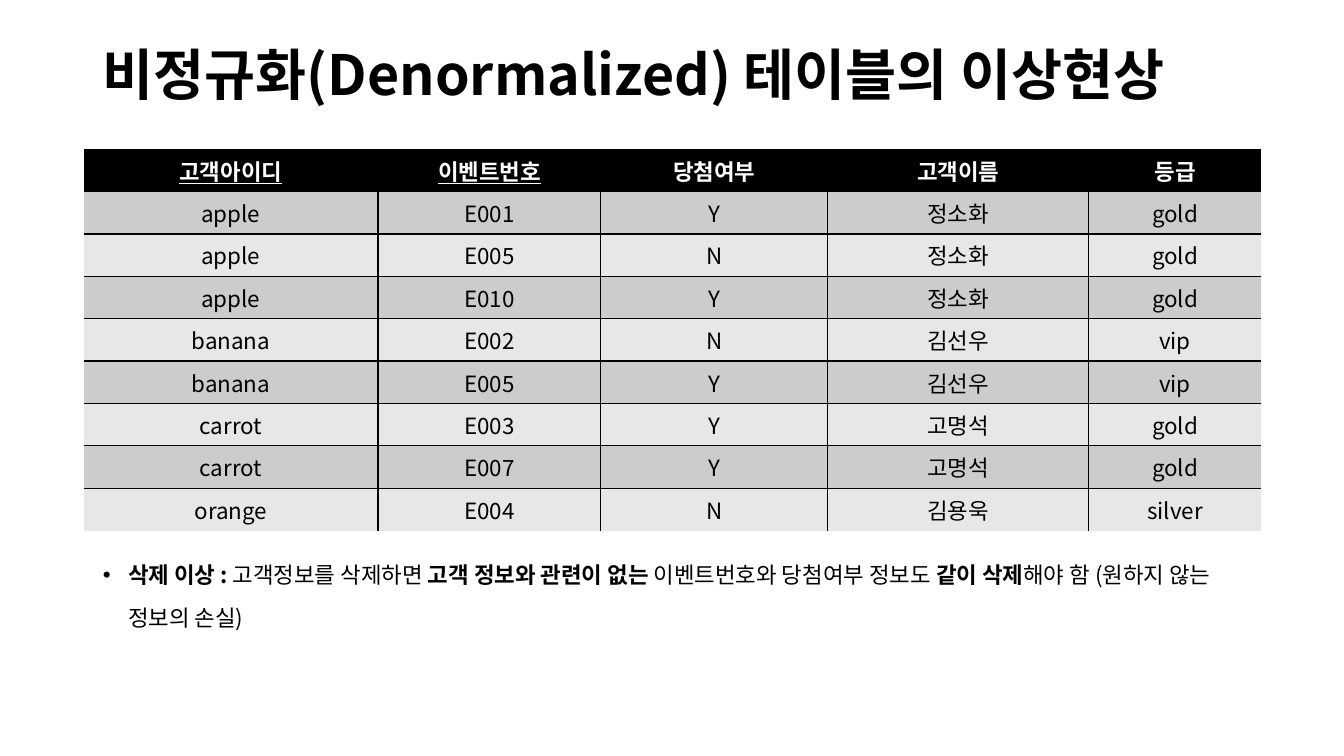
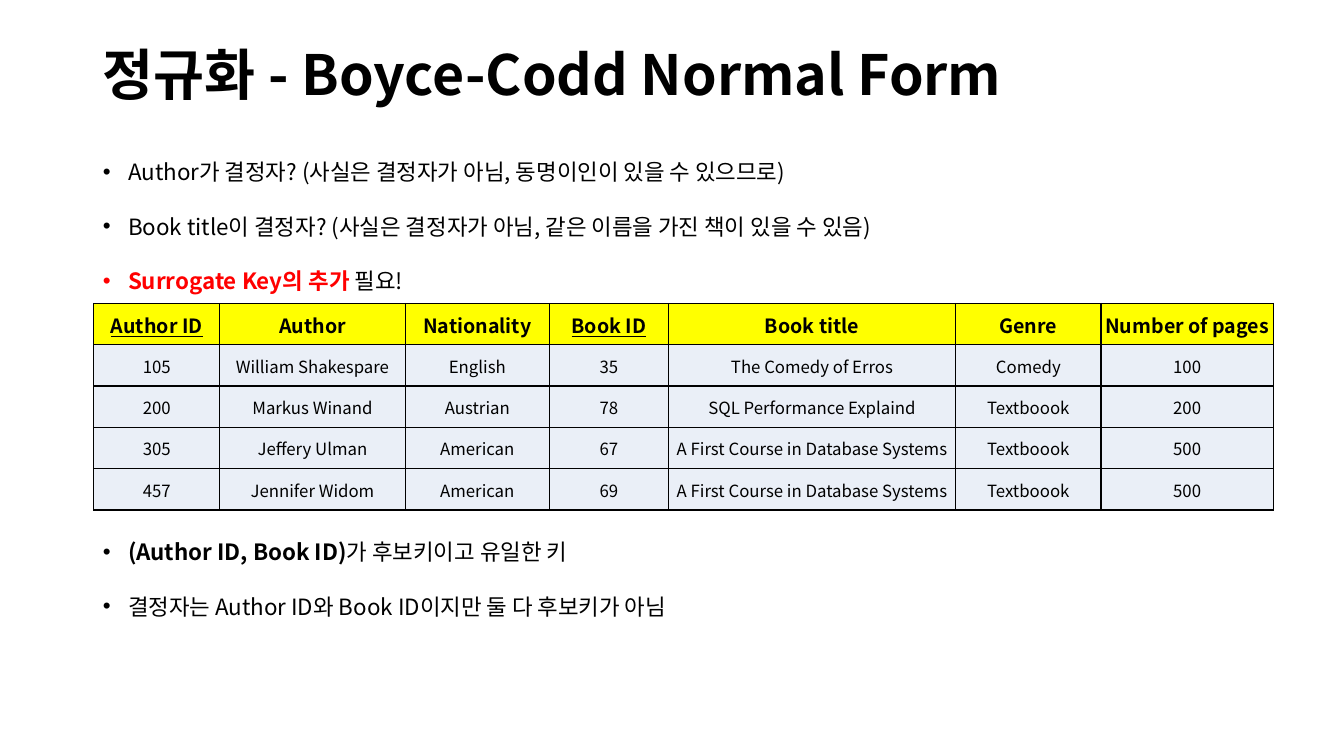
from pptx import Presentation
from pptx.dml.color import RGBColor as RGB
from pptx.enum.text import MSO_ANCHOR as Anchor, MSO_AUTO_SIZE as Fit, PP_ALIGN as Align
from pptx.oxml.ns import qn
from pptx.util import Inches, Pt
from lxml.etree import SubElement, fromstring

FACE = "Noto Sans CJK KR"
BLACK = RGB(0, 0, 0)
WHITE = RGB(255, 255, 255)
RED = RGB(255, 0, 0)
GOLD = RGB(255, 255, 0)
ICE = RGB(0xEA, 0xEF, 0xF7)
DARK = RGB(0xCC, 0xCC, 0xCC)
PALE = RGB(0xE7, 0xE7, 0xE7)

NS = "http://schemas.openxmlformats.org/drawingml/2006/main"
BARE = "{2D5ABB26-0587-4C30-8999-92F81FD0307C}"
LEFT, WIDE = 0.92, 11.5
TITLE = (LEFT, 0.4, WIDE, 0.73)

PRIZES = [
    ("고객아이디", "이벤트번호", "당첨여부", "고객이름", "등급"),
    ("apple", "E001", "Y", "정소화", "gold"),
    ("apple", "E005", "N", "정소화", "gold"),
    ("apple", "E010", "Y", "정소화", "gold"),
    ("banana", "E002", "N", "김선우", "vip"),
    ("banana", "E005", "Y", "김선우", "vip"),
    ("carrot", "E003", "Y", "고명석", "gold"),
    ("carrot", "E007", "Y", "고명석", "gold"),
    ("orange", "E004", "N", "김용욱", "silver"),
]
BOOKS = [
    ("Author ID", "Author", "Nationality", "Book ID", "Book title", "Genre", "Number of pages"),
    ("105", "William Shakespare", "English", "35", "The Comedy of Erros", "Comedy", "100"),
    ("200", "Markus Winand", "Austrian", "78", "SQL Performance Explaind", "Textboook", "200"),
    ("305", "Jeffery Ulman", "American", "67", "A First Course in Database Systems", "Textboook", "500"),
    ("457", "Jennifer Widom", "American", "69", "A First Course in Database Systems", "Textboook", "500"),
]

PLAIN = {"bold": False}
BOLD = {"bold": True}
ALERT = {"bold": True, "color": RED}

SLIDES = [
    {
        "title": "비정규화(Denormalized) 테이블의 이상현상",
        "body": {
            "top": 5.36, "high": 1.39, "lead": 1.6,
            "items": [
                (10, [
                    ("삭제 이상 : ", BOLD),
                    ("고객정보를 삭제하면 ", PLAIN),
                    ("고객 정보와 관련이 없는", BOLD),
                    (" 이벤트번호와 당첨여부 정보도 ", PLAIN),
                    ("같이 삭제", BOLD),
                    ("해야 함 (원하지 않는 정보의 손실)", PLAIN),
                ]),
            ],
        },
        "table": {
            "rows": PRIZES, "keys": (0, 1), "at": (0.83, 1.48), "high": 0.42,
            "cols": (2.92, 2.21, 2.25, 2.59, 1.71),
            "fills": (BLACK, DARK, PALE), "ink": WHITE, "sizes": (16, 16),
            "frame": False, "cell": {"vertical_anchor": Anchor.TOP},
        },
    },
    {
        "title": "정규화 - Boyce-Codd Normal Form",
        "body": {
            "top": 1.39, "high": 5.37, "lead": 1.5,
            "items": [
                (10, [("Author가 결정자? (사실은 결정자가 아님, 동명이인이 있을 수 있으므로)", PLAIN)]),
                (10, [("Book title이 결정자? (사실은 결정자가 아님, 같은 이름을 가진 책이 있을 수 있음)", PLAIN)]),
                (10, [("Surrogate Key의 추가", ALERT), (" 필요!", PLAIN)]),
                (165, [("(Author ID, Book ID)", BOLD), ("가 후보키이고 유일한 키", PLAIN)]),
                (10, [("결정자는 Author ID와 Book ID이지만 둘 다 후보키가 아님", PLAIN)]),
            ],
        },
        "table": {
            "rows": BOOKS, "keys": (0, 3), "at": (0.93, 3.01), "high": 0.41,
            "cols": (1.25, 1.84, 1.43, 1.18, 2.85, 1.44, 1.71),
            "fills": (GOLD, ICE, ICE), "ink": BLACK, "sizes": (14, 12),
            "frame": True,
            "cell": {
                "vertical_anchor": Anchor.MIDDLE, "margin_left": Inches(0.01),
                "margin_right": Inches(0.01), "margin_top": Inches(0.01), "margin_bottom": 0,
            },
        },
    },
]


def apply(part, vals):
    for name, val in vals.items():
        setattr(part, name, val)


def place(shape, *box):
    apply(shape, dict(zip(("left", "top", "width", "height"), map(Inches, box))))


def write(para, text, size, color=BLACK, **look):
    run = para.add_run()
    run.text = text
    apply(run.font, {"name": FACE, "size": Pt(size), **look})
    run.font.color.rgb = color
    SubElement(run.font._element, qn("a:ea"), typeface=FACE)


def set_title(shape, text):
    para = shape.text_frame.paragraphs[0]
    apply(para, {"alignment": Align.LEFT, "line_spacing": 0.9})
    write(para, text, 39.6, bold=True)


def set_body(shape, data):
    place(shape, LEFT, data["top"], WIDE, data["high"])
    frame = shape.text_frame
    frame.auto_size = Fit.NONE
    for num, (gap, runs) in enumerate(data["items"]):
        para = frame.add_paragraph() if num else frame.paragraphs[0]
        apply(para, {"line_spacing": data["lead"], "space_before": Pt(gap)})
        props = para._p.get_or_add_pPr()
        props.set("marL", str(Inches(0.25)))
        props.set("indent", str(-Inches(0.25)))
        for text, look in runs:
            write(para, text, 16, **look)


def rule(cell, sides):
    props = cell._tc.get_or_add_tcPr()
    for pos, side in enumerate(sides):
        props.insert(pos, fromstring(
            f'<a:ln{side} xmlns:a="{NS}" w="12700"><a:solidFill>'
            f'<a:srgbClr val="{BLACK}"/></a:solidFill></a:ln{side}>'))


def add_grid(slide, data):
    rows, cols, high = data["rows"], data["cols"], data["high"]
    last, end = len(rows) - 1, len(cols) - 1
    box = (*data["at"], sum(cols), high * len(rows))
    table = slide.shapes.add_table(len(rows), len(cols), *map(Inches, box)).table
    apply(table, {"first_row": False, "horz_banding": False})
    table._tbl.tblPr.find(qn("a:tableStyleId")).text = BARE
    for col, wide in zip(table.columns, cols):
        col.width = Inches(wide)
    for r, row in enumerate(rows):
        table.rows[r].height = Inches(high)
        head = r == 0
        for c, text in enumerate(row):
            cell = table.cell(r, c)
            apply(cell, data["cell"])
            cell.fill.solid()
            cell.fill.fore_color.rgb = data["fills"][0 if head else 2 - r % 2]
            inner = {"L": c > 0, "R": c < end, "T": r > 0, "B": r < last}
            rule(cell, [s for s, on in inner.items() if on or data["frame"]])
            para = cell.text_frame.paragraphs[0]
            para.alignment = Align.CENTER
            write(para, text, data["sizes"][0 if head else 1],
                  data["ink"] if head else BLACK,
                  bold=head, underline=head and c in data["keys"])


def main():
    deck = Presentation()
    apply(deck, {"slide_width": Inches(13.33), "slide_height": Inches(7.5)})
    base = deck.slide_layouts[1]
    place(base.placeholders[0], *TITLE)
    for data in SLIDES:
        slide = deck.slides.add_slide(base)
        set_title(slide.shapes.title, data["title"])
        set_body(slide.placeholders[1], data["body"])
        add_grid(slide, data["table"])
    deck.save("out.pptx")


if __name__ == "__main__":
    main()
